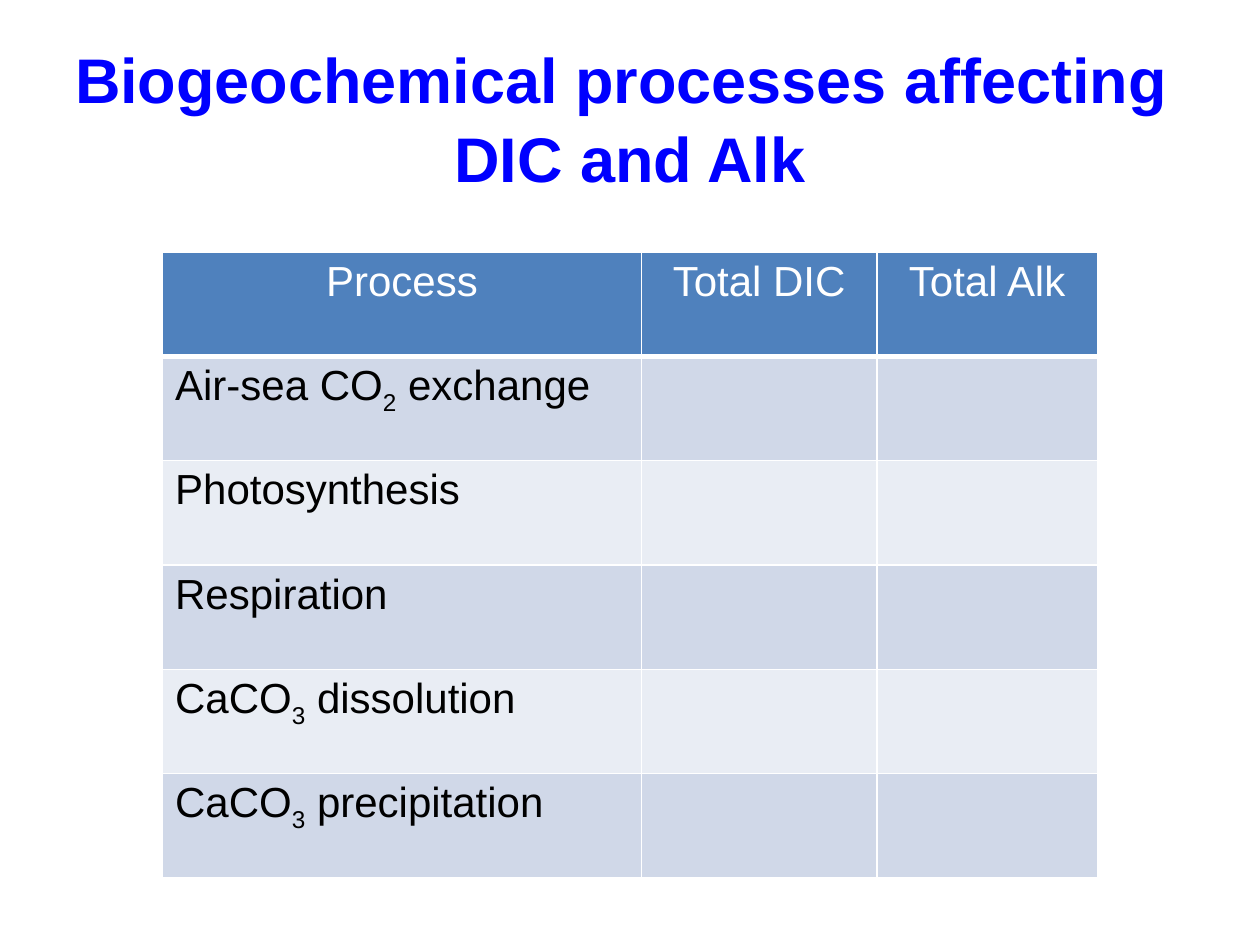
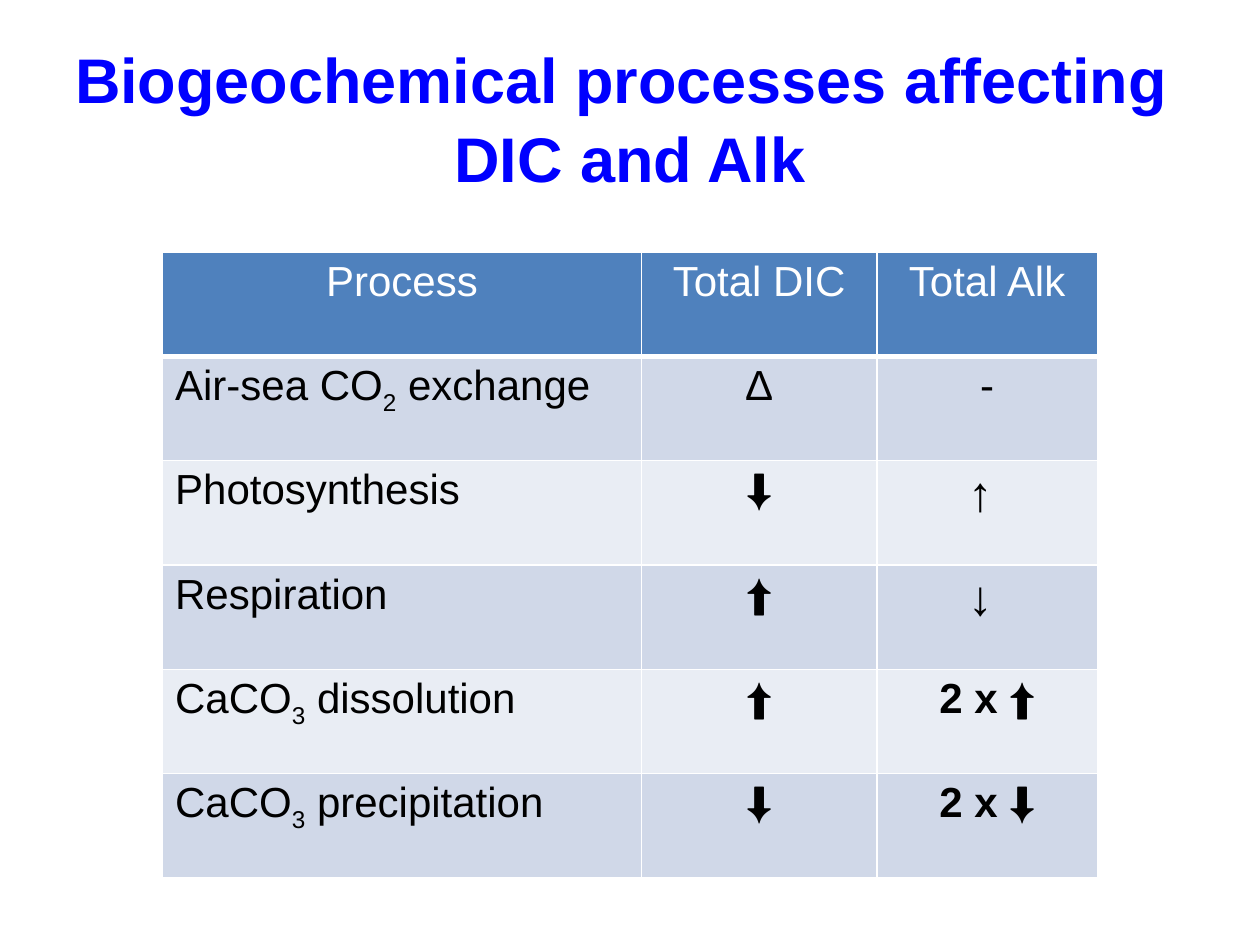
"""Build two slides on the processes that change DIC and alkalinity."""
from dataclasses import dataclass

from lxml import etree
from pptx import Presentation
from pptx import util as u
from pptx.dml.color import RGBColor
from pptx.enum import text
from pptx.oxml import ns


@dataclass(frozen=True)
class Theme:
    font: str = "Arial"
    title_color: str = "0000FF"
    header_fill: str = "4F81BD"
    band_fills: tuple = ("D0D8E8", "E9EDF4")
    white: str = "FFFFFF"
    ink: str = "000000"
    title_size: float = 36
    cell_size: float = 24
    arrow_size: float = 28
    title_gap: float = 2.2
    rule: float = 1
    header_rule: float = 3


@dataclass(frozen=True)
class Span:
    words: str
    bold: bool = False
    subscript: bool = False
    size: float = Theme.cell_size


TITLE = ("Biogeochemical processes affecting ", "DIC and Alk")
HEADINGS = ("Process", "Total DIC", "Total Alk")
COLUMN_WIDTHS = (3.8, 1.87, 1.75)
TABLE_LEFT, TABLE_TOP, TABLE_HEIGHT = 1.29, 2, 4.97

PROCESSES = (
    (Span("Air-sea CO"), Span("2", subscript=True), Span(" exchange")),
    (Span("Photosynthesis"),),
    (Span("Respiration"),),
    (Span("CaCO"), Span("3", subscript=True), Span(" dissolution")),
    (Span("CaCO"), Span("3", subscript=True), Span(" precipitation")),
)
BLANK_EFFECTS = (((), ()),) * len(PROCESSES)
DOUBLE = Span("2 x ", bold=True)
EFFECTS = (
    ((Span("Δ"),), (Span("-"),)),
    ((Span("⬇"),), (Span("↑ ", bold=True, size=Theme.arrow_size),)),
    ((Span("⬆"),), (Span("↓ ", bold=True, size=Theme.arrow_size),)),
    ((Span("⬆"),), (DOUBLE, Span("⬆"))),
    ((Span("⬇"),), (DOUBLE, Span("⬇"))),
)


class Builder:
    """Hold the theme, the deck and the current page."""

    def __init__(self, theme):
        self.theme = theme
        self.deck = Presentation()
        self.deck.slide_width = u.Inches(10)
        self.deck.slide_height = u.Inches(7.5)
        self.page = None

    def add_page(self):
        self.page = self.deck.slides.add_slide(self.deck.slide_layouts[5])

    def add_span(self, para, span, color):
        run = para.add_run()
        run.text = span.words
        run.font.name = self.theme.font
        run.font.size = u.Pt(span.size)
        run.font.bold = span.bold
        run.font.color.rgb = RGBColor.from_string(color)
        if span.subscript:
            run._r.get_or_add_rPr().set("baseline", "-25000")

    def add_title(self, lines):
        box = self.page.shapes.title
        box.left, box.top = u.Inches(0), u.Inches(0.27)
        box.width, box.height = u.Inches(10), u.Inches(1.31)
        frame = box.text_frame
        frame.word_wrap = True
        frame.auto_size = text.MSO_AUTO_SIZE.SHAPE_TO_FIT_TEXT
        frame.vertical_anchor = text.MSO_ANCHOR.TOP
        for index, line in enumerate(lines):
            para = frame.add_paragraph() if index else frame.paragraphs[0]
            para.alignment = text.PP_ALIGN.CENTER
            para.space_before = u.Pt(self.theme.title_gap)
            span = Span(line, bold=True, size=self.theme.title_size)
            self.add_span(para, span, self.theme.title_color)

    def set_borders(self, cell, bottom):
        properties = cell._tc.get_or_add_tcPr()
        widths = {"lnL": self.theme.rule, "lnR": self.theme.rule,
                  "lnT": self.theme.rule, "lnB": bottom}
        for position, (side, width) in enumerate(widths.items()):
            line = etree.Element(ns.qn(f"a:{side}"), w=str(u.Pt(width)))
            fill = etree.SubElement(line, ns.qn("a:solidFill"))
            etree.SubElement(fill, ns.qn("a:srgbClr"), val=self.theme.white)
            properties.insert(position, line)

    def fill_cell(self, cell, spans, row, column):
        header = row == 0
        theme = self.theme
        bands = theme.band_fills
        fill = theme.header_fill if header else bands[(row - 1) % len(bands)]
        cell.fill.solid()
        cell.fill.fore_color.rgb = RGBColor.from_string(fill)
        self.set_borders(cell, theme.header_rule if header else theme.rule)
        para = cell.text_frame.paragraphs[0]
        centred = header or column > 0
        para.alignment = text.PP_ALIGN.CENTER if centred else text.PP_ALIGN.LEFT
        for span in spans:
            self.add_span(para, span, theme.white if header else theme.ink)

    def add_process_table(self, effects):
        rows = [[(Span(heading),) for heading in HEADINGS]]
        rows += [(process, *effect) for process, effect in zip(PROCESSES, effects)]
        table = self.page.shapes.add_table(
            len(rows), len(HEADINGS), u.Inches(TABLE_LEFT), u.Inches(TABLE_TOP),
            u.Inches(sum(COLUMN_WIDTHS)), u.Inches(TABLE_HEIGHT)).table
        for column, width in zip(table.columns, COLUMN_WIDTHS):
            column.width = u.Inches(width)
        for row, contents in enumerate(rows):
            table.rows[row].height = u.Inches(TABLE_HEIGHT / len(rows))
            for column, spans in enumerate(contents):
                self.fill_cell(table.cell(row, column), spans, row, column)


def main():
    builder = Builder(Theme())
    for effects in (BLANK_EFFECTS, EFFECTS):
        builder.add_page()
        builder.add_title(TITLE)
        builder.add_process_table(effects)
    builder.deck.save("out.pptx")


if __name__ == "__main__":
    main()
